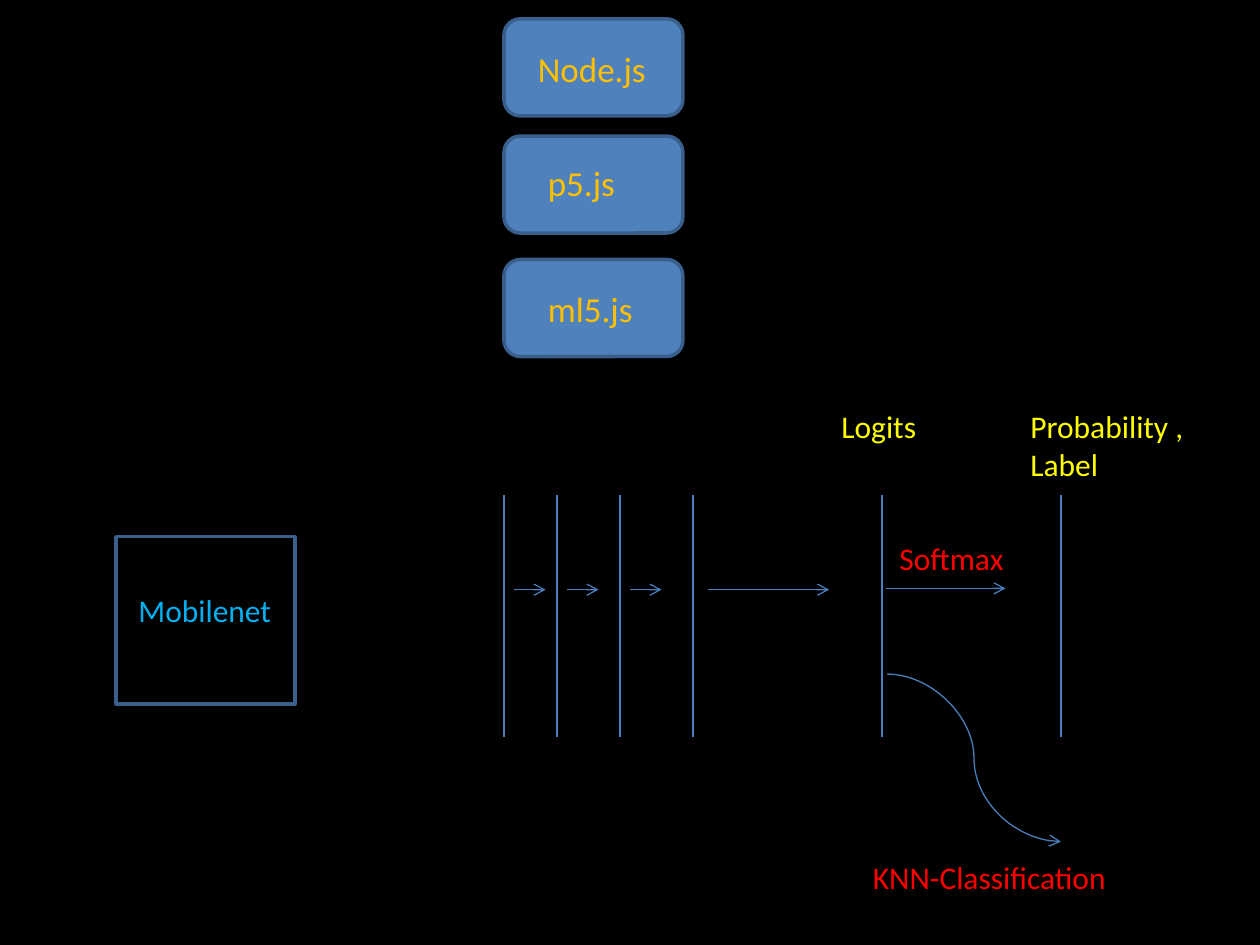
from dataclasses import dataclass

from pptx import Presentation
from pptx.dml.color import RGBColor
from pptx.enum import shapes, text
from pptx.oxml.ns import qn
from pptx.util import Inches, Pt
from lxml import etree


@dataclass(frozen=True)
class Theme:
    font: str = "Calibri"
    background: str = "000000"
    box_fill: str = "4F81BD"
    box_line: str = "3A5F8C"
    connector: str = "4B7EBC"
    library: str = "FFC000"
    model: str = "00B0F0"
    output: str = "FFFF00"
    method: str = "FF0000"
    library_size: int = 20
    label_size: int = 18
    box_weight: float = 2
    connector_weight: float = 0.75


THEME = Theme()
STRAIGHT = shapes.MSO_CONNECTOR.STRAIGHT
CURVE = shapes.MSO_CONNECTOR.CURVE


def rgb(value):
    return RGBColor.from_string(value)


def add_label(slide, left, top, width, height, lines, color, size=THEME.label_size):
    label = slide.shapes.add_textbox(Inches(left), Inches(top), Inches(width), Inches(height))
    frame = label.text_frame
    frame.word_wrap = False
    frame.auto_size = text.MSO_AUTO_SIZE.SHAPE_TO_FIT_TEXT
    for index, line in enumerate(lines):
        paragraph = frame.add_paragraph() if index else frame.paragraphs[0]
        run = paragraph.add_run()
        run.text = line
        run.font.name = THEME.font
        run.font.size = Pt(size)
        run.font.color.rgb = rgb(color)


def add_box(slide, preset, left, top, width, height, fill=None):
    box = slide.shapes.add_shape(preset, Inches(left), Inches(top), Inches(width), Inches(height))
    box.shadow.inherit = False
    if fill:
        box.fill.solid()
        box.fill.fore_color.rgb = rgb(fill)
    else:
        box.fill.background()
    box.line.color.rgb = rgb(THEME.box_line)
    box.line.width = Pt(THEME.box_weight)


def add_line(slide, x1, y1, x2, y2, kind=STRAIGHT, arrow=True):
    line = slide.shapes.add_connector(kind, Inches(x1), Inches(y1), Inches(x2), Inches(y2))
    line.line.color.rgb = rgb(THEME.connector)
    line.line.width = Pt(THEME.connector_weight)
    properties = line._element.spPr
    if arrow:
        etree.SubElement(properties.find(qn("a:ln")), qn("a:tailEnd"), type="arrow")
    etree.SubElement(properties, qn("a:effectLst"))


def add_libraries(slide, left, top, width):
    """Stack the library boxes; each row holds box offset, then label position and width."""
    rows = [
        ("Node.js", 0, 0.17, 0.18, 1.06),
        ("p5.js", 0.93, 0.25, 0.15, 0.74),
        ("ml5.js", 1.91, 0.25, 0.17, 0.88),
    ]
    for name, offset, label_x, label_y, label_width in rows:
        box_top = top + offset
        add_box(slide, shapes.MSO_SHAPE.ROUNDED_RECTANGLE, left, box_top, width, 0.77,
                THEME.box_fill)
        add_label(slide, left + label_x, box_top + label_y, label_width, 0.44, [name],
                  THEME.library, THEME.library_size)


def add_model(slide, left, top, width, height):
    add_box(slide, shapes.MSO_SHAPE.RECTANGLE, left, top, width, height)
    add_label(slide, left + 0.08, top + 0.38, 1.27, 0.4, ["Mobilenet"], THEME.model)


def add_network(slide, left, top, width, height):
    """Draw the layers as upright lines, joined by arrows."""
    logits, probability = left + 3, left + width
    layers = [left, left + 0.42, left + 0.92, left + 1.5, logits, probability]
    for x in layers:
        add_line(slide, x, top, x, top + height, arrow=False)

    flow = top + 0.75
    for x in layers[:3]:
        add_line(slide, x + 0.08, flow, x + 0.33, flow)
    add_line(slide, layers[3] + 0.12, flow, logits - 0.42, flow)
    add_line(slide, logits + 0.03, flow - 0.01, logits + 0.98, flow - 0.01)
    add_line(slide, logits + 0.04, top + 1.42, probability, top + 2.75, CURVE)

    add_label(slide, logits - 0.42, top - 0.75, 0.8, 0.4, ["Logits"], THEME.output)
    add_label(slide, probability - 0.34, top - 0.75, 1.43, 0.71,
              ["Probability ,", "Label"], THEME.output)
    add_label(slide, logits + 0.04, top + 0.3, 1.04, 0.4, ["Softmax"], THEME.method)
    add_label(slide, logits - 0.17, top + 2.83, 2.07, 0.4,
              ["KNN-Classification"], THEME.method)


def main():
    deck = Presentation()
    deck.slide_width, deck.slide_height = Inches(10), Inches(7.5)
    slide = deck.slides.add_slide(deck.slide_layouts[6])
    slide.background.fill.solid()
    slide.background.fill.fore_color.rgb = rgb(THEME.background)

    add_network(slide, 4, 3.93, 4.42, 1.92)
    add_model(slide, 0.92, 4.26, 1.42, 1.33)
    add_libraries(slide, 4, 0.15, 1.42)
    deck.save("out.pptx")


if __name__ == "__main__":
    main()
